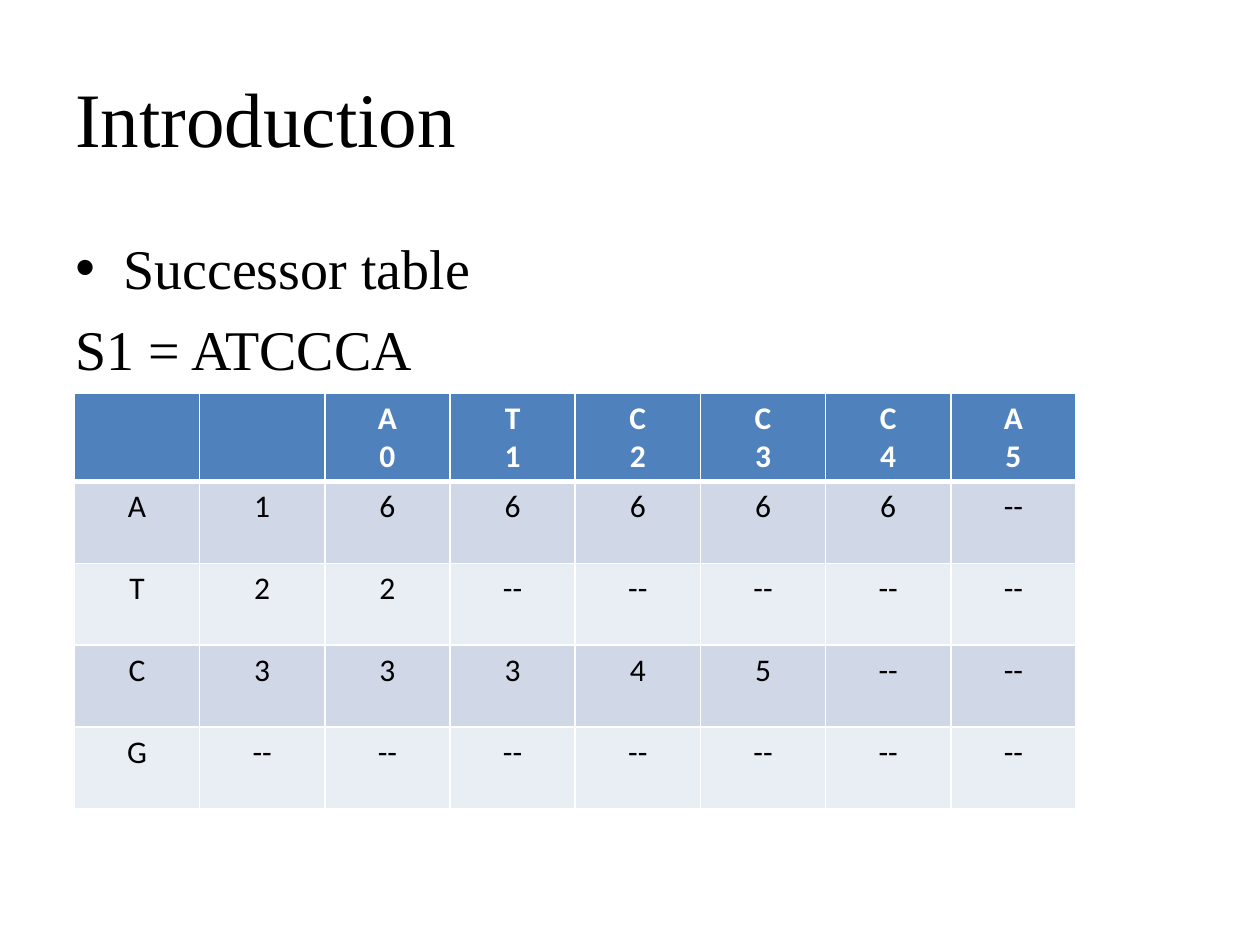
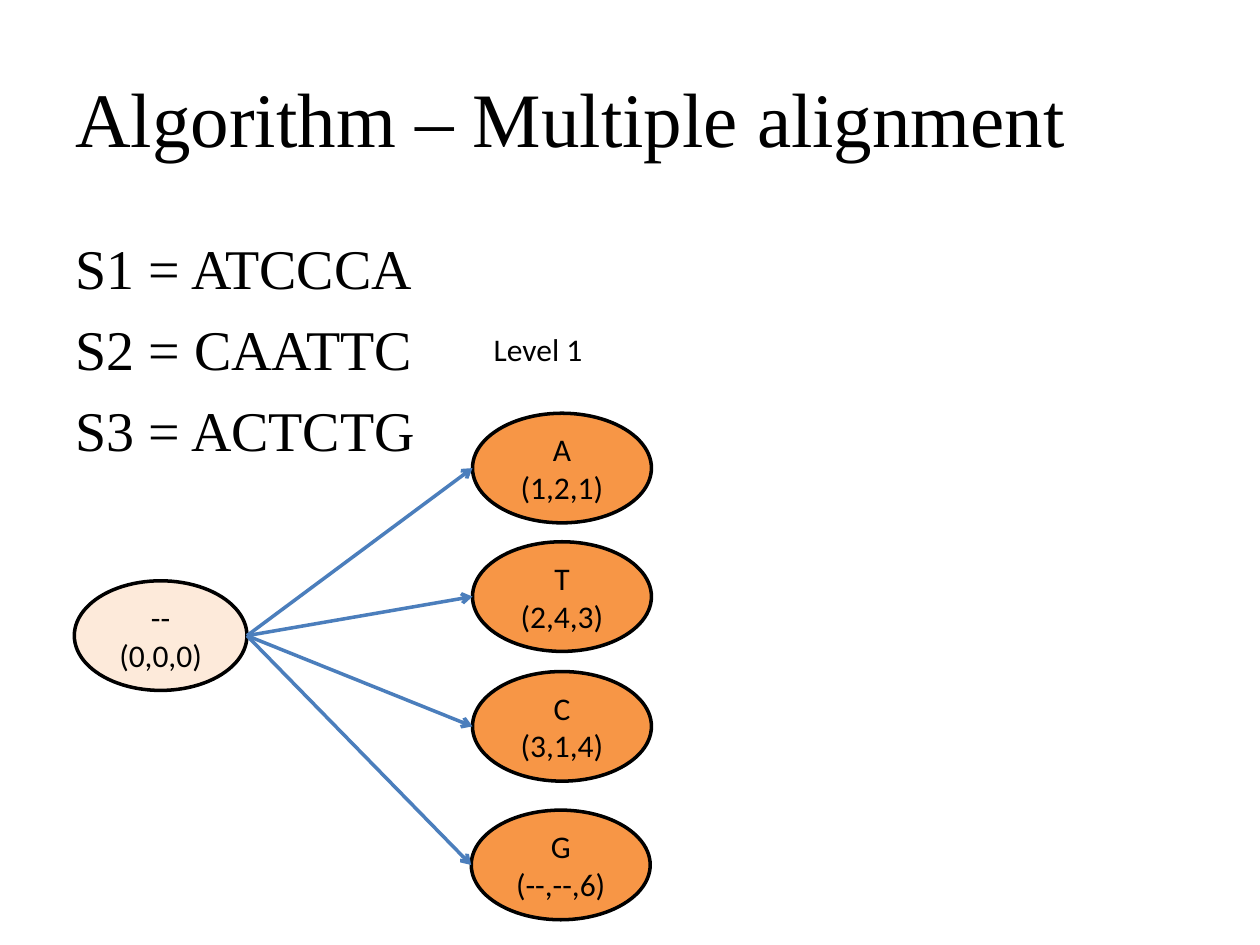
import pptx
import pptx.dml.color
import pptx.enum.shapes
import pptx.enum.text
import pptx.oxml
import pptx.oxml.ns
import pptx.util

Inches = pptx.util.Inches
Pt = pptx.util.Pt
RGBColor = pptx.dml.color.RGBColor
CENTER = pptx.enum.text.PP_ALIGN.CENTER
LEFT = pptx.enum.text.PP_ALIGN.LEFT
MIDDLE = pptx.enum.text.MSO_ANCHOR.MIDDLE

BLACK = RGBColor(0x00, 0x00, 0x00)
WHITE = RGBColor(0xFF, 0xFF, 0xFF)
HEADER_BLUE = RGBColor(0x4F, 0x81, 0xBD)
BAND_DARK = RGBColor(0xD0, 0xD8, 0xE8)
BAND_LIGHT = RGBColor(0xE9, 0xED, 0xF4)
ROOT_PEACH = RGBColor(0xFD, 0xEA, 0xDA)
NODE_ORANGE = RGBColor(0xF7, 0x96, 0x46)
ARROW_BLUE = RGBColor(0x4B, 0x7E, 0xBC)

TITLE_FONT = {"name": "Times New Roman", "size": Pt(44)}
BODY_FONT = {"name": "Times New Roman", "size": Pt(32)}
LABEL_FONT = {"name": "Calibri", "size": Pt(18), "bold": False}
HEADER_FONT = {**LABEL_FONT, "bold": True}
NAMESPACE = pptx.oxml.ns.nsdecls("a")


def write_lines(text_frame, lines, font_format, color=BLACK, alignment=LEFT):
    """Write one paragraph per line, all in the same format."""
    for index, line in enumerate(lines):
        paragraph = text_frame.paragraphs[0] if index == 0 else text_frame.add_paragraph()
        paragraph.alignment = alignment
        run = paragraph.add_run()
        run.text = line
        for attribute, value in font_format.items():
            setattr(run.font, attribute, value)
        run.font.color.rgb = color


def add_node(slide, left, top, width, fill, lines):
    """Add an outlined ellipse with centred text."""
    node = slide.shapes.add_shape(
        pptx.enum.shapes.MSO_SHAPE.OVAL,
        Inches(left), Inches(top), Inches(width), Inches(0.87))
    node.shadow.inherit = False
    node.fill.solid()
    node.fill.fore_color.rgb = fill
    node.line.color.rgb = BLACK
    node.line.width = Pt(2)
    node.text_frame.vertical_anchor = MIDDLE
    write_lines(node.text_frame, lines, LABEL_FONT, alignment=CENTER)
    return node


presentation = pptx.Presentation()
presentation.slide_width = Inches(10)
presentation.slide_height = Inches(7.5)

# Title and body text of both slides; a leading bullet mark makes a bullet
slide_texts = [
    ("Introduction", ["• Successor table", "S1 = ATCCCA"]),
    ("Algorithm – Multiple alignment",
     ["S1 = ATCCCA", "S2 = CAATTC", "S3 = ACTCTG"]),
]
slides = []
for title, body_lines in slide_texts:
    slide = presentation.slides.add_slide(presentation.slide_layouts[6])
    slides.append(slide)

    title_frame = slide.shapes.add_textbox(
        Inches(0.5), Inches(0.3), Inches(9), Inches(1.25)).text_frame
    title_frame.word_wrap = True
    title_frame.vertical_anchor = MIDDLE
    write_lines(title_frame, [title], TITLE_FONT)

    body_frame = slide.shapes.add_textbox(
        Inches(0.5), Inches(1.75), Inches(9), Inches(4.95)).text_frame
    body_frame.word_wrap = True
    body_frame.margin_top = Inches(0.1)
    write_lines(body_frame, [line.removeprefix("• ") for line in body_lines], BODY_FONT)
    for index, (paragraph, line) in enumerate(zip(body_frame.paragraphs, body_lines)):
        if index > 0:
            paragraph.space_before = Pt(8)
        if line.startswith("•"):
            properties = paragraph._p.get_or_add_pPr()
            properties.set("marL", str(Inches(0.38)))
            properties.set("indent", str(-Inches(0.38)))
            for markup in ('<a:buFont %s typeface="Arial"/>', '<a:buChar %s char="•"/>'):
                properties.append(pptx.oxml.parse_xml(markup % NAMESPACE))

introduction, alignment_slide = slides

# Successor table: sequence letters over their positions, then one row per letter
header = [[], []] + [[letter, str(position)] for position, letter in enumerate("ATCCCA")]
successors = [
    "A 1 6 6 6 6 6 --",
    "T 2 2 -- -- -- -- --",
    "C 3 3 3 4 5 -- --",
    "G -- -- -- -- -- -- --",
]
table_rows = [header] + [[[value] for value in row.split()] for row in successors]
table = introduction.shapes.add_table(
    len(table_rows), len(header),
    Inches(0.59), Inches(3.12), Inches(7.95), Inches(3.25)).table
for row_index, row in enumerate(table_rows):
    is_header = row_index == 0
    fill = HEADER_BLUE if is_header else (BAND_LIGHT, BAND_DARK)[row_index % 2]
    for column_index, lines in enumerate(row):
        cell = table.cell(row_index, column_index)
        write_lines(cell.text_frame, lines,
                    HEADER_FONT if is_header else LABEL_FONT,
                    WHITE if is_header else BLACK, CENTER)
        for side in ("lnL", "lnR", "lnT", "lnB"):
            thick = (row_index, side) in ((0, "lnB"), (1, "lnT"))
            cell._tc.get_or_add_tcPr().append(pptx.oxml.parse_xml(
                f'<a:{side} {NAMESPACE} w="{Pt(3 if thick else 1)}">'
                f'<a:solidFill><a:srgbClr val="{WHITE}"/></a:solidFill></a:{side}>'))
        cell.fill.solid()
        cell.fill.fore_color.rgb = fill

# Search tree: the root and its level 1 successors
root = add_node(alignment_slide, 0.59, 4.61, 1.37, ROOT_PEACH, ["--", "(0,0,0)"])
level_one = [
    add_node(alignment_slide, left, top, 1.42, NODE_ORANGE, [letter, positions])
    for left, top, letter, positions in [
        (3.75, 3.28, "A", "(1,2,1)"),
        (3.75, 4.3, "T", "(2,4,3)"),
        (3.75, 5.33, "C", "(3,1,4)"),
        (3.74, 6.43, "G", "(--,--,6)"),
    ]
]

# Arrows from the right of the root to the left of each successor
for node in level_one:
    arrow = alignment_slide.shapes.add_connector(
        pptx.enum.shapes.MSO_CONNECTOR.STRAIGHT,
        root.left + root.width, root.top + root.height // 2,
        node.left, node.top + node.height // 2)
    arrow.line.color.rgb = ARROW_BLUE
    arrow.line.width = Pt(2)
    arrow.line._get_or_add_ln().append(
        pptx.oxml.parse_xml(f'<a:tailEnd {NAMESPACE} type="arrow"/>'))
    arrow._element.spPr.append(pptx.oxml.parse_xml(f"<a:effectLst {NAMESPACE}/>"))

# Level label
level_frame = alignment_slide.shapes.add_textbox(
    Inches(3.82), Inches(2.57), Inches(0.92), Inches(0.4)).text_frame
level_frame.word_wrap = False
level_frame.auto_size = pptx.enum.text.MSO_AUTO_SIZE.SHAPE_TO_FIT_TEXT
write_lines(level_frame, ["Level 1"], LABEL_FONT)

presentation.save("out.pptx")
